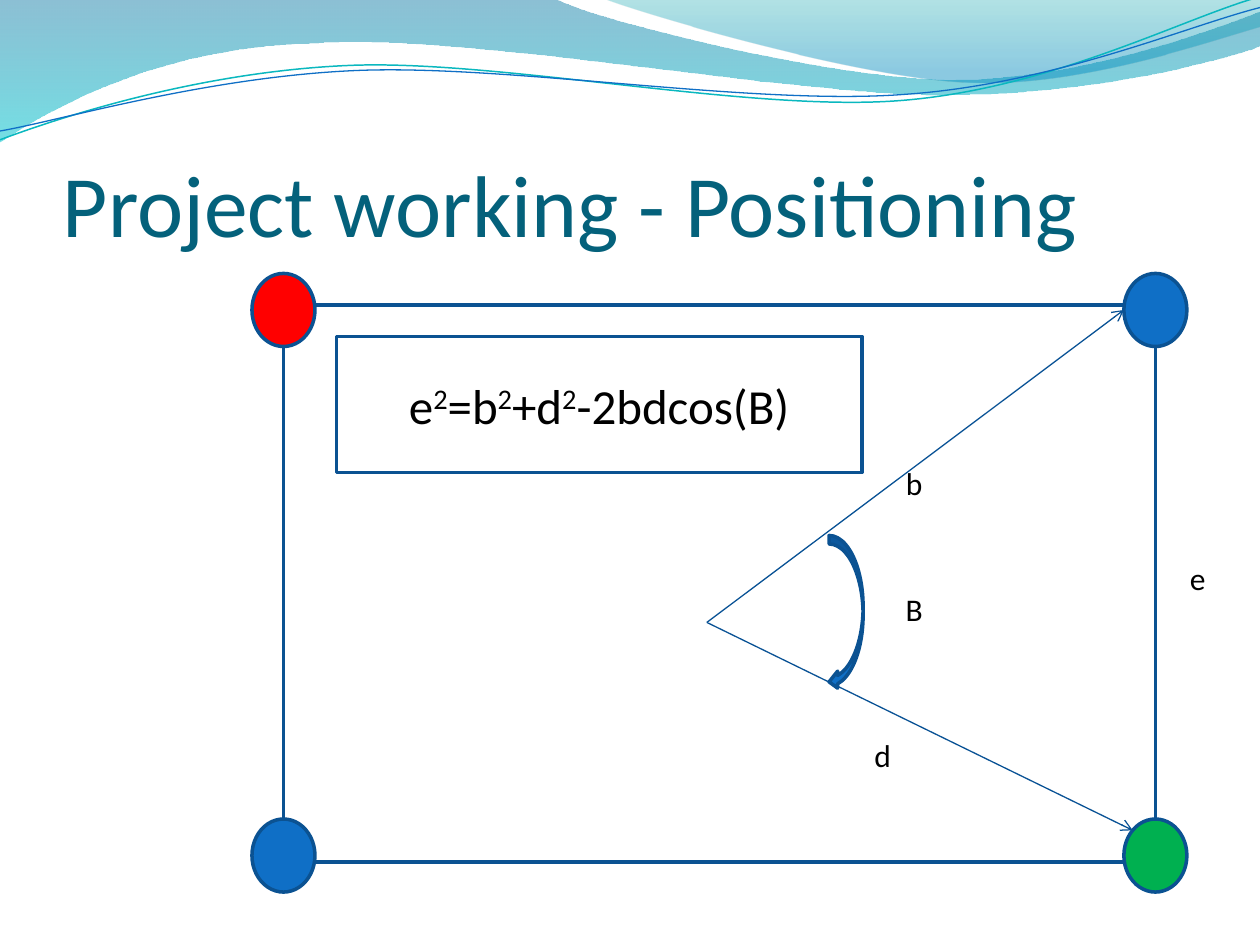
import pptx
import pptx.util
import pptx.dml.color
import pptx.enum.shapes
import pptx.enum.text
import pptx.oxml
import pptx.oxml.ns
import lxml.etree

Inches, Pt = pptx.util.Inches, pptx.util.Pt
RGBColor = pptx.dml.color.RGBColor
SHAPE = pptx.enum.shapes.MSO_SHAPE
ALIGN = pptx.enum.text.PP_ALIGN
ANCHOR = pptx.enum.text.MSO_ANCHOR
qn = pptx.oxml.ns.qn

TITLE = RGBColor(0x04, 0x61, 0x7B)
BLACK = RGBColor(0, 0, 0)
EDGE = RGBColor(0x0B, 0x52, 0x92)
ARROW = RGBColor(0x09, 0x52, 0x95)
BLUE = RGBColor(0x0F, 0x6F, 0xC6)
RED = RGBColor(0xFF, 0, 0)
GREEN = RGBColor(0, 0xB0, 0x50)
AQUA = RGBColor(0x0A, 0xB8, 0xBF)
DEEP = RGBColor(0, 0x74, 0xA1)
CYAN = RGBColor(0, 0xC6, 0xCF)
TEAL = RGBColor(0, 0xA1, 0xA9)
SKY = RGBColor(0, 0x8B, 0xBF)

deck = pptx.Presentation()
deck.slide_width, deck.slide_height = Inches(10), Inches(7.5)
slide = deck.slides.add_slide(deck.slide_layouts[6])
shapes = slide.shapes


def add_wave(parts, closed):
    """Draw a path of points (two numbers) and Bezier curves (six numbers)."""
    points = [(Inches(part[i]), Inches(part[i + 1]))
              for part in parts for i in range(0, len(part), 2)]
    build = shapes.build_freeform(*points[0])
    build.add_line_segments(points[1:], close=closed)
    wave = build.convert_to_shape()
    wave.shadow.inherit = False
    # Join the three segments of each curve into one Bezier element
    lines = list(wave._element.iter(qn("a:lnTo")))
    for part in parts[1:]:
        first = lines.pop(0)
        if len(part) == 6:
            first.tag = qn("a:cubicBezTo")
            for _ in range(2):
                extra = lines.pop(0)
                first.append(extra[0])
                extra.getparent().remove(extra)
    return wave


def add_text(box, runs, size, color, align, anchor):
    """Fill a box with (text, raised) runs in one paragraph."""
    frame = box.text_frame
    frame.word_wrap = True
    frame.vertical_anchor = anchor
    para = frame.paragraphs[0]
    para.alignment = align
    for text, raised in runs:
        run = para.add_run()
        run.text = text
        run.font.name, run.font.size = "Calibri", Pt(size)
        run.font.color.rgb = color
        if raised:
            run.font._element.set("baseline", "30000")


# Wave bands, then the two thin wave lines
bands = [
    ([(0, 0), (4.4, -0.01), (4.76, 0.17, 6.64, 0.63, 7.58, 0.63),
      (8.53, 0.63, 9.58, 0.26, 10, 0.09), (10.01, 0.36),
      (9.83, 0.44, 8.7, 0.76, 7.46, 0.75), (6.22, 0.75, 3.82, 0.28, 2.57, 0.34),
      (1.29, 0.36, 0.46, 0.83, -0.01, 1.13), (0, 0)],
     [(0, DEEP, 45), (1, CYAN, 55)]),
    ([(4.79, -0.01), (5.09, 0.11, 6.82, 0.62, 7.69, 0.65),
      (8.56, 0.69, 9.61, 0.32, 10, 0.21), (10, 0), (4.79, -0.01)],
     [(0, TEAL, 30), (0.8, SKY, 45)]),
]
for parts, stops in bands:
    band = add_wave(parts, True)
    band.line.fill.background()
    band.fill.gradient()
    band.fill.gradient_angle = 270
    for stop, (place, color, _) in zip(band.fill.gradient_stops, stops):
        stop.position = place
        stop.color.rgb = color
    for tone, (_, _, alpha) in zip(band._element.spPr.iter(qn("a:srgbClr")), stops):
        lxml.etree.SubElement(tone, qn("a:alpha")).set("val", str(alpha * 1000))

curves = [
    ([(0, 1.11), (0.48, 0.93, 1.58, 0.57, 2.77, 0.52),
      (3.95, 0.47, 5.93, 0.89, 7.13, 0.8), (8.33, 0.71, 9.38, 0.15, 9.98, -0.02)],
     AQUA, 0.85),
    ([(0, 1.04), (0.47, 0.96, 1.64, 0.61, 2.83, 0.56),
      (4.03, 0.51, 5.97, 0.84, 7.17, 0.75), (8.36, 0.67, 9.41, 0.21, 10, 0.06)],
     BLUE, 0.75),
]
for parts, color, width in curves:
    curve = add_wave(parts, False)
    curve.fill.background()
    curve.line.color.rgb, curve.line.width = color, Pt(width)

title = shapes.add_textbox(Inches(0.5), Inches(0.77), Inches(9), Inches(1.25))
add_text(title, [("Project working - Positioning", False)], 50, TITLE,
         ALIGN.LEFT, ANCHOR.BOTTOM)
title.text_frame.margin_left = title.text_frame.margin_right = 0
title.text_frame.margin_bottom = 0

# Field, corner nodes, angle arrow and formula box
left, right, top, bottom = 2, 8.92, 2.17, 6.5
figures = [
    (SHAPE.RECTANGLE, 2.25, 2.42, 6.92, 4.42, None),
    (SHAPE.OVAL, left, top, 0.5, 0.58, RED),
    (SHAPE.OVAL, right, top, 0.5, 0.58, BLUE),
    (SHAPE.OVAL, right, bottom, 0.5, 0.58, GREEN),
    (SHAPE.OVAL, left, bottom, 0.5, 0.58, BLUE),
    (SHAPE.CURVED_DOWN_ARROW, 6.1, 4.73, 1.23, 0.27, BLUE),
    (SHAPE.RECTANGLE, 2.67, 2.67, 4.17, 1.08, None),
]
for kind, x, y, width, height, color in figures:
    figure = shapes.add_shape(kind, Inches(x), Inches(y), Inches(width), Inches(height))
    figure.shadow.inherit = False
    figure.line.color.rgb, figure.line.width = EDGE, Pt(2)
    if color is None:
        figure.fill.background()
    else:
        figure.fill.solid()
        figure.fill.fore_color.rgb = color
    if kind == SHAPE.CURVED_DOWN_ARROW:
        figure.rotation = 90
formula = [("e", False), ("2", True), ("=b", False), ("2", True),
           ("+d", False), ("2", True), ("-2bdcos(B)", False)]
add_text(figure, formula, 28, BLACK, ALIGN.CENTER, ANCHOR.MIDDLE)

for x, y in [(8.92, 2.46), (8.99, 6.59)]:
    ray = shapes.add_connector(pptx.enum.shapes.MSO_CONNECTOR.STRAIGHT,
                               Inches(5.61), Inches(4.94), Inches(x), Inches(y))
    ray.line.color.rgb, ray.line.width = ARROW, Pt(0.75)
    tail = lxml.etree.SubElement(ray.line._get_or_add_ln(), qn("a:tailEnd"))
    tail.set("type", "arrow")
    lxml.etree.SubElement(ray._element.spPr, qn("a:effectLst"))

for name, x, y in [("d", 6.67, 5.83), ("b", 6.92, 3.67), ("B", 6.92, 4.67), ("e", 9.17, 4.42)]:
    label = shapes.add_textbox(Inches(x), Inches(y), Inches(0.67), Inches(0.33))
    add_text(label, [(name, False)], 18, BLACK, ALIGN.CENTER, ANCHOR.MIDDLE)

deck.save("out.pptx")
